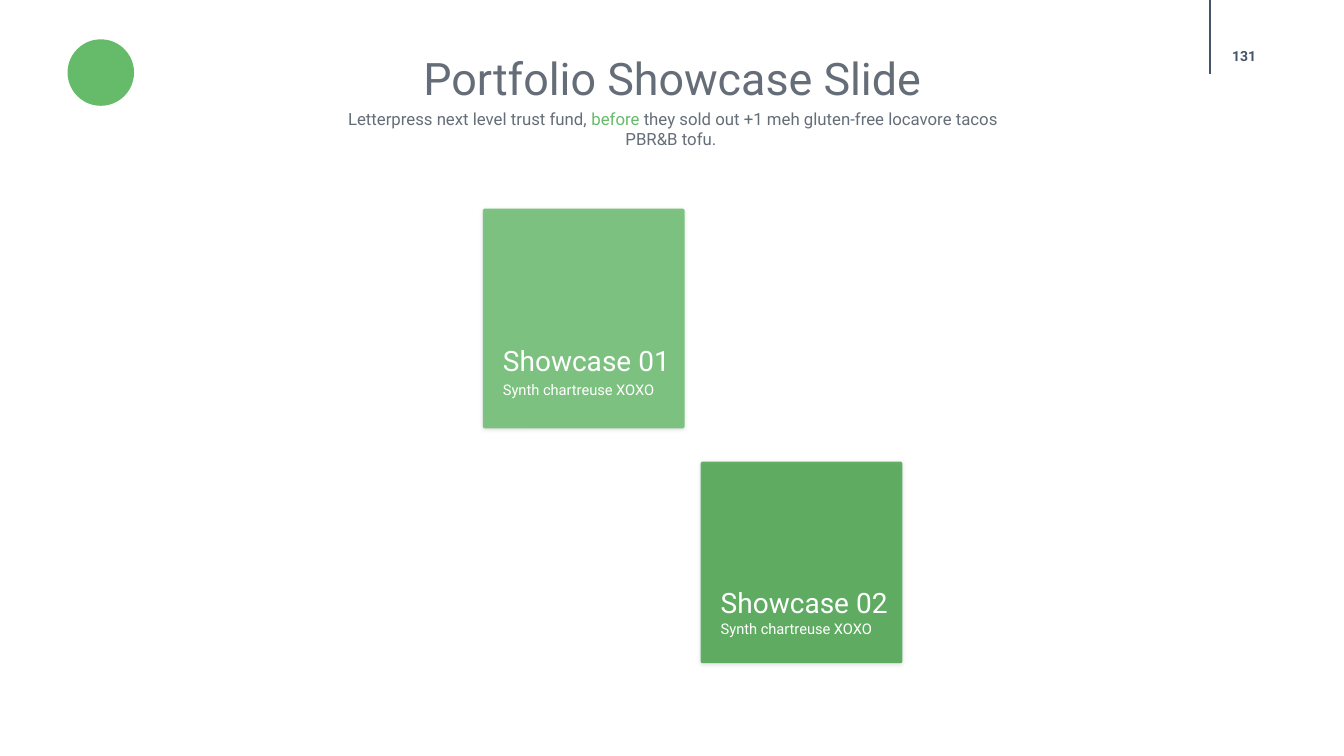
"""Builds the portfolio showcase slide with two offset cards."""
from lxml.etree import SubElement
from pptx import Presentation
from pptx.dml.color import RGBColor
from pptx.enum.shapes import MSO_CONNECTOR, MSO_SHAPE
from pptx.enum.text import MSO_ANCHOR, MSO_AUTO_SIZE, PP_ALIGN
from pptx.oxml.ns import qn
from pptx.util import Pt

PX = 9144
HUES = {"slate": "656D78", "navy": "44546A", "leaf": "66BB6A",
        "moss": "43A047", "white": "FFFFFF", "black": "000000"}


def hue(name):
    return RGBColor.from_string(HUES[name])


def write(box, text, size, color, align=PP_ALIGN.LEFT, anchor=MSO_ANCHOR.TOP):
    frame = box.text_frame
    frame.word_wrap = True
    frame.auto_size = MSO_AUTO_SIZE.NONE
    frame.vertical_anchor = anchor
    para = frame.paragraphs[0]
    para.alignment = align
    for part in text.split("|"):
        para.add_run().text = part
    para.font.name = "Roboto"
    para.font.size = Pt(size)
    para.font.color.rgb = hue(color)
    return para


deck = Presentation()
deck.slide_width, deck.slide_height = 1333 * PX, 750 * PX
slide = deck.slides.add_slide(deck.slide_layouts[5])
shapes = slide.shapes

title = shapes.title
title.left, title.top, title.width, title.height = 254 * PX, 45 * PX, 826 * PX, 64 * PX
write(title, "Portfolio Showcase Slide", 32, "slate", PP_ALIGN.CENTER, MSO_ANCHOR.MIDDLE)

lead = shapes.add_textbox(320 * PX, 103 * PX, 695 * PX, 30 * PX)
para = write(lead, "Letterpress next level trust fund, |before| they sold out +1 meh "
             "gluten-free locavore tacos PBR&B tofu. ", 12, "slate", PP_ALIGN.CENTER)
para.runs[1].font.color.rgb = hue("leaf")

badge = shapes.add_shape(MSO_SHAPE.OVAL, 67 * PX, 39 * PX, 66 * PX, 66 * PX)
badge.shadow.inherit = False
badge.fill.solid()
badge.fill.fore_color.rgb = hue("leaf")
badge.line.fill.background()

rule = shapes.add_connector(MSO_CONNECTOR.STRAIGHT, 1200 * PX, 0, 1200 * PX, 73 * PX)
rule.line.color.rgb = hue("navy")
rule.line.width = Pt(1)
SubElement(rule.element.spPr, qn("a:effectLst"))

page = shapes.add_textbox(1194 * PX, 36 * PX, 80 * PX, 40 * PX)
para = write(page, "131", 10, "navy", PP_ALIGN.CENTER, MSO_ANCHOR.MIDDLE)
para.font.bold = True
frame = page.text_frame
frame.margin_left = frame.margin_right = frame.margin_top = frame.margin_bottom = 0

cards = [("Showcase 02", "moss", 695, 458, 200, 582, 613),
         ("Showcase 01", "leaf", 479, 207, 218, 342, 376)]
for name, color, left, top, tall, head, note in cards:
    group = shapes.add_group_shape().shapes
    card = group.add_shape(MSO_SHAPE.ROUNDED_RECTANGLE, left * PX, top * PX, 200 * PX, tall * PX)
    card.adjustments[0] = 0.01
    card.shadow.inherit = False
    card.fill.solid()
    card.fill.fore_color.rgb = hue(color)
    card.line.fill.background()
    props = card.element.spPr
    tint = props.find(qn("a:solidFill")).find(qn("a:srgbClr"))
    SubElement(tint, qn("a:alpha"), val="82000")
    shade = SubElement(props.find(qn("a:effectLst")), qn("a:outerShdw"),
                       blurRad=str(Pt(3)), dist=str(Pt(1)), dir="5400000", rotWithShape="0")
    ink = SubElement(shade, qn("a:srgbClr"), val=HUES["black"])
    SubElement(ink, qn("a:alpha"), val="15000")
    for text, size, y, high in ((name, 20, head, note - head + 6),
                                ("Synth chartreuse XOXO", 10.5, note, 30)):
        box = group.add_textbox((left + 10) * PX, y * PX, 193 * PX, high * PX)
        write(box, text, size, "white").line_spacing = 0.8

deck.save("out.pptx")
